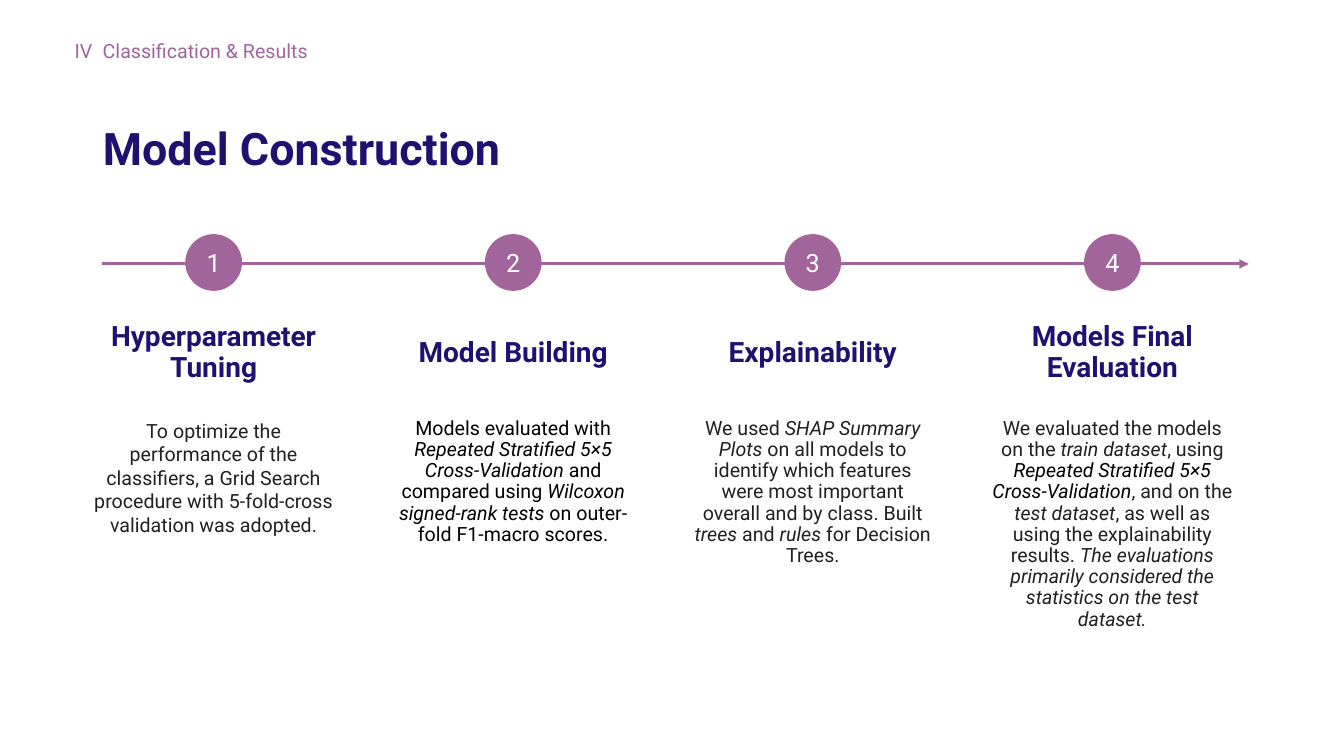
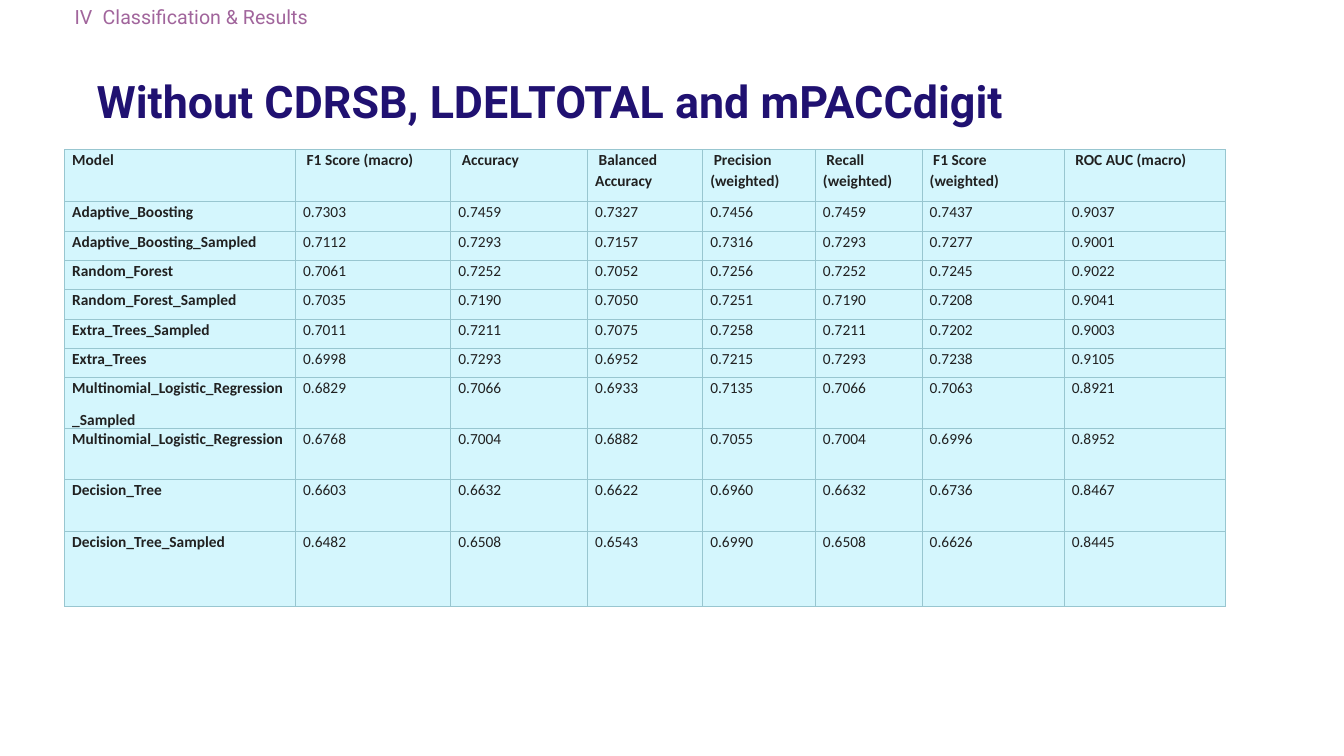
from collections import namedtuple

from lxml.etree import SubElement
from pptx import Presentation
from pptx.dml.color import RGBColor
from pptx.enum.shapes import MSO_CONNECTOR, MSO_SHAPE
from pptx.enum.text import MSO_ANCHOR, MSO_AUTO_SIZE, PP_ALIGN
from pptx.oxml import parse_xml
from pptx.oxml.ns import nsdecls, qn
from pptx.util import Cm, Pt

# Shared colours and fonts
NAVY = RGBColor(0x20, 0x11, 0x71)
MAUVE = RGBColor(0xA1, 0x65, 0x9C)
INK = RGBColor(0x21, 0x21, 0x21)
BLACK = RGBColor(0x00, 0x00, 0x00)
WHITE = RGBColor(0xFF, 0xFF, 0xFF)
CELL_BLUE = RGBColor(0xD4, 0xF6, 0xFD)
BORDER_BLUE = RGBColor(0x98, 0xC6, 0xD0)
FONT = "Roboto"
TABLE_FONT = "Calibri"

Run = namedtuple("Run", "text italic colour", defaults=(False, INK))
Step = namedtuple("Step", "heading runs height spacing", defaults=(0.9,))

STEPS = [
    Step("Hyperparameter Tuning", [
        Run("To optimize the performance of the classifiers, a Grid Search "
            "procedure with 5-fold-cross validation was adopted."),
    ], 3.53, 1.0),
    Step("Model Building", [
        Run("Models evaluated with ", False, BLACK),
        Run("Repeated Stratified 5×5 Cross-Validation ", True, BLACK),
        Run("and compared using ", False, BLACK),
        Run("Wilcoxon signed-rank tests", True, BLACK),
        Run(" on outer-fold F1-macro scores.", False, BLACK),
    ], 3.53),
    Step("Explainability", [
        Run("We used "),
        Run("SHAP Summary Plots", True),
        Run(" on all models to identify which features were most important "
            "overall and by class. Built "),
        Run("trees", True),
        Run(" and "),
        Run("rules", True),
        Run(" for Decision Trees."),
    ], 3.99),
    Step("Models Final Evaluation", [
        Run("We evaluated the models on the "),
        Run("train dataset", True),
        Run(", using "),
        Run("Repeated Stratified 5×5 Cross-Validation", True, BLACK),
        Run(", and on the "),
        Run("test dataset", True),
        Run(", as well as using the explainability results. "),
        Run("The evaluations primarily considered the statistics on the "
            "test dataset.", True),
    ], 5.61),
]

SCORES = [
    ("Model", " F1 Score (macro)", " Accuracy", " Balanced Accuracy",
     " Precision (weighted)", " Recall (weighted)", " F1 Score (weighted)",
     " ROC AUC (macro)"),
    ("Adaptive_Boosting", "0.7303", "0.7459", "0.7327", "0.7456", "0.7459",
     "0.7437", "0.9037"),
    ("Adaptive_Boosting_Sampled", "0.7112", "0.7293", "0.7157", "0.7316",
     "0.7293", "0.7277", "0.9001"),
    ("Random_Forest", "0.7061", "0.7252", "0.7052", "0.7256", "0.7252",
     "0.7245", "0.9022"),
    ("Random_Forest_Sampled", "0.7035", "0.7190", "0.7050", "0.7251",
     "0.7190", "0.7208", "0.9041"),
    ("Extra_Trees_Sampled", "0.7011", "0.7211", "0.7075", "0.7258", "0.7211",
     "0.7202", "0.9003"),
    ("Extra_Trees", "0.6998", "0.7293", "0.6952", "0.7215", "0.7293",
     "0.7238", "0.9105"),
    ("Multinomial_Logistic_Regression\n_Sampled", "0.6829", "0.7066",
     "0.6933", "0.7135", "0.7066", "0.7063", "0.8921"),
    ("Multinomial_Logistic_Regression", "0.6768", "0.7004", "0.6882",
     "0.7055", "0.7004", "0.6996", "0.8952"),
    ("Decision_Tree", "0.6603", "0.6632", "0.6622", "0.6960", "0.6632",
     "0.6736", "0.8467"),
    ("Decision_Tree_Sampled", "0.6482", "0.6508", "0.6543", "0.6990",
     "0.6508", "0.6626", "0.8445"),
]
COLUMN_WIDTHS = [5.82, 3.91, 3.45, 2.9, 2.84, 2.69, 3.58, 4.06]
ROW_HEIGHTS = [1.31] + [0.74] * 6 + [1.26, 1.29, 1.31, 1.89]


def style_run(r, size, colour, bold=False, italic=False, font=FONT):
    r.font.name = font
    r.font.size = Pt(size)
    r.font.bold = bold
    r.font.italic = italic
    r.font.color.rgb = colour


def style_line(p, size, colour, bold=False, align=PP_ALIGN.LEFT, spacing=1.0):
    p.alignment = align
    p.line_spacing = spacing
    for r in p.runs:
        style_run(r, size, colour, bold)


def add_box(s, left, top, width, height):
    """Wrapped text box, lengths in centimetres; returns its text frame."""
    tf = s.shapes.add_textbox(Cm(left), Cm(top), Cm(width),
                              Cm(height)).text_frame
    tf.word_wrap = True
    return tf


def add_section_tag(s, left, top):
    """Section number and name above the title."""
    for text, offset, width in (("IV", 0, 1.1),
                                ("Classification & Results", 0.71, 6.55)):
        tf = add_box(s, left + offset, top, width, 0.86)
        tf.auto_size = MSO_AUTO_SIZE.SHAPE_TO_FIT_TEXT
        tf.text = text
        style_line(tf.paragraphs[0], 14, MAUVE)


def set_title(s, text, left, top):
    title = s.shapes.title
    title.left, title.top = Cm(left), Cm(top)
    title.width, title.height = Cm(28.73), Cm(2.49)
    tf = title.text_frame
    tf.auto_size = MSO_AUTO_SIZE.NONE
    tf.vertical_anchor = MSO_ANCHOR.MIDDLE
    tf.text = text
    style_line(tf.paragraphs[0], 32, NAVY, bold=True, spacing=0.9)


def add_arrow(s, left, right, y):
    line = s.shapes.add_connector(MSO_CONNECTOR.STRAIGHT, Cm(left), Cm(y),
                                  Cm(right), Cm(y))
    line.line.color.rgb = MAUVE
    line.line.width = Pt(2.25)
    SubElement(line.line._get_or_add_ln(), qn("a:tailEnd"), type="triangle")
    SubElement(line._element.spPr, qn("a:effectLst"))


def add_step(s, number, step, left, top, width):
    """Numbered circle with a heading and a description centred below."""
    size = 1.43
    circle = s.shapes.add_shape(MSO_SHAPE.OVAL,
                                Cm(left + (width - size) / 2), Cm(top),
                                Cm(size), Cm(size))
    circle.shadow.inherit = False
    circle.fill.solid()
    circle.fill.fore_color.rgb = MAUVE
    circle.line.fill.background()
    tf = circle.text_frame
    tf.vertical_anchor = MSO_ANCHOR.MIDDLE
    tf.text = str(number)
    style_line(tf.paragraphs[0], 18, WHITE, align=PP_ALIGN.CENTER)

    # Heading
    tf = add_box(s, left, top + 1.75, width, 2.49)
    tf.vertical_anchor = MSO_ANCHOR.MIDDLE
    tf.text = step.heading
    style_line(tf.paragraphs[0], 20, NAVY, True, PP_ALIGN.CENTER, 0.9)

    # Description
    p = add_box(s, left, top + 4.52, width, step.height).paragraphs[0]
    p.alignment = PP_ALIGN.CENTER
    p.line_spacing = step.spacing
    for part in step.runs:
        r = p.add_run()
        r.text = part.text
        style_run(r, 14, part.colour, italic=part.italic)


def style_cell(cell, bold):
    cell.margin_left = cell.margin_right = Cm(0.19)
    cell.margin_top = cell.margin_bottom = 0
    cell.fill.solid()
    cell.fill.fore_color.rgb = CELL_BLUE
    for p in cell.text_frame.paragraphs:
        p.line_spacing = 1.07
        p.space_after = Pt(8)
        for r in p.runs:
            style_run(r, 11, INK, bold, font=TABLE_FONT)
    # Borders come before the fill in the cell properties
    tc_pr = cell._tc.get_or_add_tcPr()
    for i, side in enumerate(("lnL", "lnR", "lnT", "lnB")):
        tc_pr.insert(i, parse_xml(
            f'<a:{side} {nsdecls("a")} w="{Pt(0.75)}"><a:solidFill>'
            f'<a:srgbClr val="{BORDER_BLUE}"/></a:solidFill></a:{side}>'))


def add_score_table(s, left, top):
    table = s.shapes.add_table(len(SCORES), len(COLUMN_WIDTHS), Cm(left),
                               Cm(top), Cm(sum(COLUMN_WIDTHS)),
                               Cm(sum(ROW_HEIGHTS))).table
    table.first_row = table.horz_banding = False
    for column, width in zip(table.columns, COLUMN_WIDTHS):
        column.width = Cm(width)
    for i, (row, height) in enumerate(zip(table.rows, ROW_HEIGHTS)):
        row.height = Cm(height)
        for j, cell in enumerate(row.cells):
            cell.text_frame.text = SCORES[i][j]
            style_cell(cell, bold=i == 0 or j == 0)


def build_timeline_slide(s):
    add_section_tag(s, 1.63, 0.86)
    set_title(s, "Model Construction", 2.34, 2.57)
    add_arrow(s, 2.57, 31.47, 6.65)
    for i, step in enumerate(STEPS):
        add_step(s, i + 1, step, 2.11 + i * 7.55, 5.9, 6.55)


def build_score_slide(s):
    add_section_tag(s, 1.63, 0)
    add_score_table(s, 1.63, 3.77)
    set_title(s, "Without CDRSB, LDELTOTAL and mPACCdigit", 2.18, 1.37)


def main():
    prs = Presentation()
    prs.slide_width, prs.slide_height = Cm(33.87), Cm(19.05)
    title_only = prs.slide_layouts[5]
    for build in (build_timeline_slide, build_score_slide):
        build(prs.slides.add_slide(title_only))
    prs.save("out.pptx")


if __name__ == "__main__":
    main()
